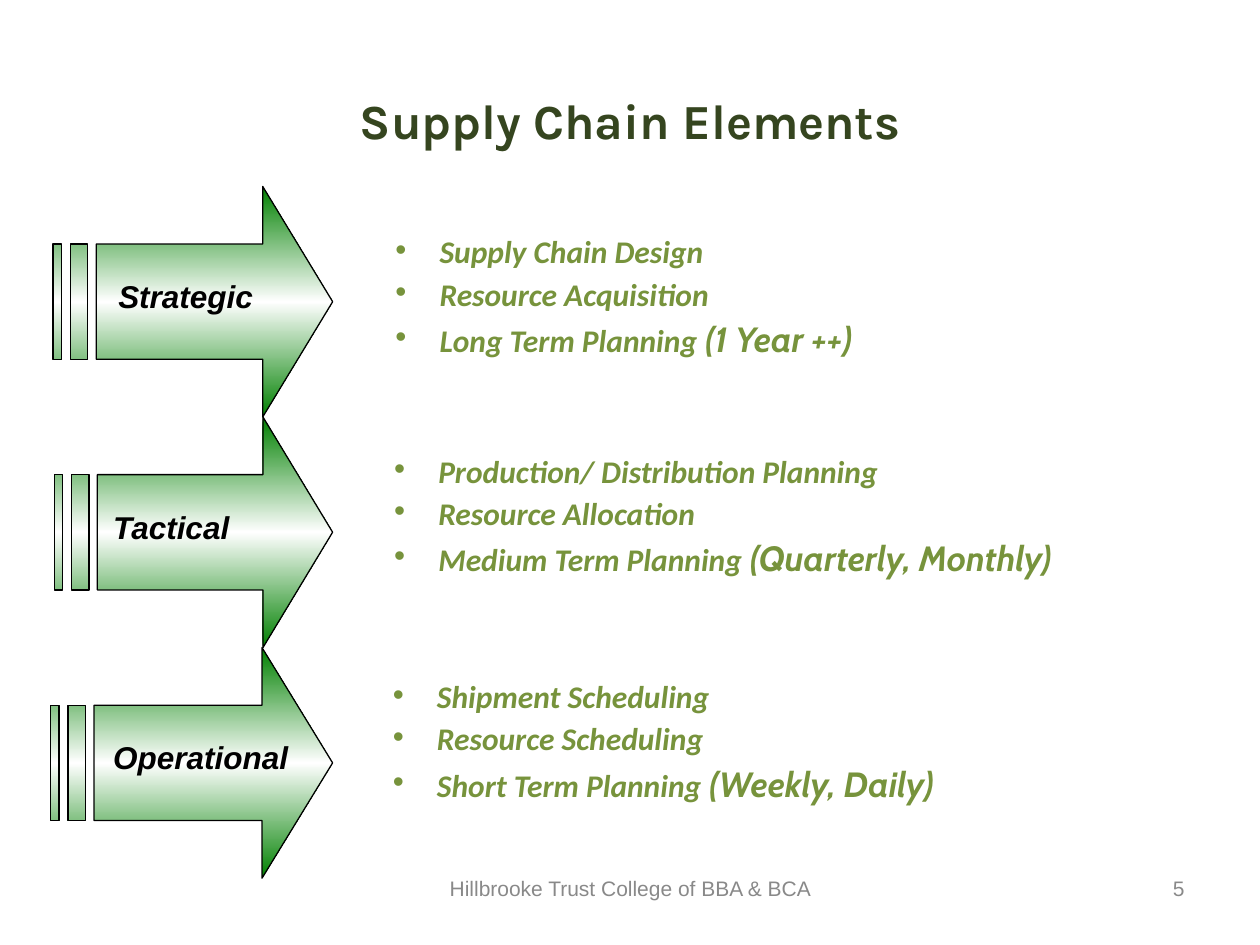
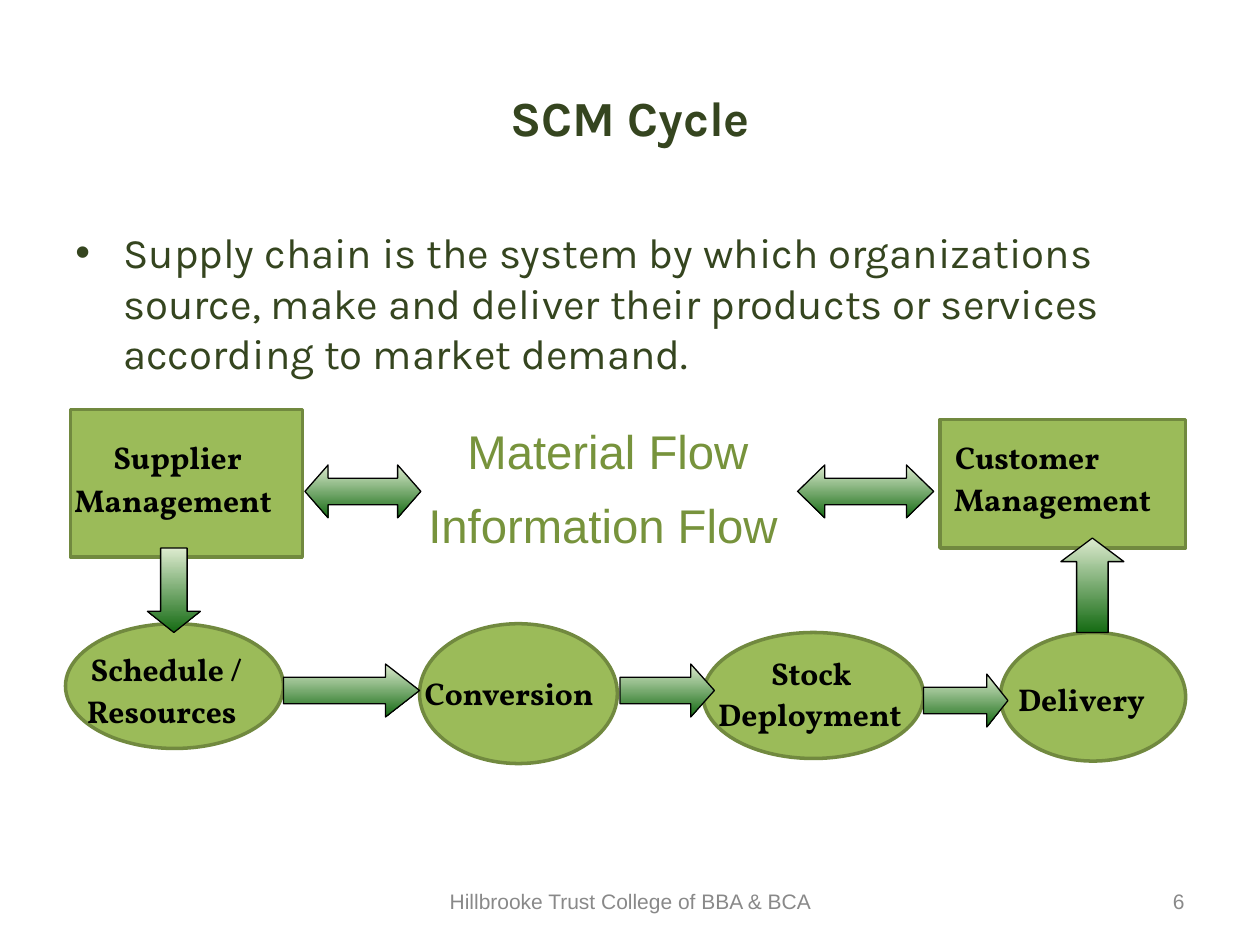
from dataclasses import dataclass

from lxml.etree import SubElement
from pptx import Presentation
from pptx.dml.color import RGBColor
from pptx.enum.shapes import MSO_SHAPE
from pptx.enum.text import MSO_ANCHOR, PP_ALIGN
from pptx.oxml.ns import qn
from pptx.util import Inches, Pt


@dataclass(frozen=True)
class Theme:
    dark: str = "35451F"
    accent: str = "77933C"
    node: str = "9BBB59"
    node_line: str = "71893F"
    muted: str = "898989"
    black: str = "000000"
    stage_fade: tuple = ("008000", "FFFFFF", "008000")
    arrow_fade: tuple = ("DDEBCF", "156B13")
    heading: str = "Karla"
    plain: str = "Arial"
    listing: str = "Calibri"
    period: str = "Cabin"
    label: str = "Vollkorn"
    title_size: float = 28
    flow_size: float = 27
    body_size: float = 24
    period_size: float = 20
    text_size: float = 18
    footer_size: float = 12


THEME = Theme()
SLIDE_W, SLIDE_H = 10, 7.5
MARGIN = 0.05 * SLIDE_W
FOOTER = "Hillbrooke Trust College of BBA & BCA"

# Stages: name, arrow left, label left, list box (left, top, width), tasks, period
STAGE_TOP, STAGE_PITCH = 1.48, 1.83
ARROW_RIGHT, ARROW_H = 2.64, 1.83
STAGES = [
    ("Strategic", 0.42, 0.84, (3.04, 1.9, 6.29),
     ["Supply Chain Design", "Resource Acquisition", "Long Term Planning"],
     "(1 Year ++)"),
    ("Tactical", 0.43, 0.8, (3.03, 3.64, 6.15),
     ["Production/ Distribution Planning", "Resource Allocation",
      "Medium Term Planning"], "(Quarterly, Monthly)"),
    ("Operational", 0.4, 0.8, (3.02, 5.43, 4.94),
     ["Shipment Scheduling", "Resource Scheduling", "Short Term Planning"],
     "(Weekly, Daily)"),
]

# Cycle: outline, box, label lines with their left, top and width
DEFINITION = ("Supply chain is the system by which organizations source, make and "
              "deliver their products or services according to market demand.")
NODES = [
    (MSO_SHAPE.RECTANGLE, (0.56, 3.25, 1.84, 1.17),
     [("Supplier", 0.9, 3.48, 1.09), ("Management", 0.59, 3.82, 1.64)]),
    (MSO_SHAPE.OVAL, (0.52, 4.95, 1.73, 0.99),
     [("Schedule /", 0.72, 5.16, 1.29), ("Resources", 0.69, 5.49, 1.29)]),
    (MSO_SHAPE.OVAL, (3.33, 4.95, 1.57, 1.11),
     [("Conversion", 3.37, 5.35, 1.44)]),
    (MSO_SHAPE.OVAL, (5.58, 5.02, 1.75, 1),
     [("Stock", 6.12, 5.19, 0.69), ("Deployment", 5.7, 5.52, 1.54)]),
    (MSO_SHAPE.OVAL, (7.94, 5.02, 1.47, 1.02),
     [("Delivery", 8.08, 5.4, 1.08)]),
    (MSO_SHAPE.RECTANGLE, (7.46, 3.33, 1.95, 1.02),
     [("Customer", 7.58, 3.48, 1.23), ("Management", 7.57, 3.81, 1.64)]),
]
FLOWS = [("Material Flow", 3.71, 3.35, 2.4), ("Information Flow", 3.4, 3.94, 2.9)]
# Arrows: outline, box, head length as a share of arrow length
ARROWS = [
    (MSO_SHAPE.LEFT_RIGHT_ARROW, (2.42, 3.69, 0.92, 0.42), 0.2),
    (MSO_SHAPE.LEFT_RIGHT_ARROW, (6.33, 3.69, 1.08, 0.42), 0.2),
    (MSO_SHAPE.UP_ARROW, (8.42, 4.27, 0.5, 0.75), 0.25),
    (MSO_SHAPE.RIGHT_ARROW, (2.25, 5.27, 1.08, 0.42), 0.25),
    (MSO_SHAPE.RIGHT_ARROW, (4.92, 5.27, 0.75, 0.42), 0.25),
    (MSO_SHAPE.RIGHT_ARROW, (7.33, 5.35, 0.67, 0.42), 0.25),
    (MSO_SHAPE.DOWN_ARROW, (1.17, 4.35, 0.42, 0.67), 0.25),
]


def inches(box):
    return [Inches(length) for length in box]


def style(run, font, size, color, bold=False, italic=False):
    run.font.name, run.font.size = font, Pt(size)
    run.font.color.rgb = RGBColor.from_string(color)
    run.font.bold, run.font.italic = bold, italic


def add_text(slide, lines, box, font, size, color, bold=False, italic=False,
             align=PP_ALIGN.LEFT, anchor=MSO_ANCHOR.TOP, wrap=True, inset=True):
    frame = slide.shapes.add_textbox(*inches(box)).text_frame
    frame.text = "\n".join(lines)
    frame.word_wrap, frame.vertical_anchor = wrap, anchor
    if not inset:
        frame.margin_left = frame.margin_right = 0
        frame.margin_top = frame.margin_bottom = 0
    for paragraph in frame.paragraphs:
        paragraph.alignment = align
        for run in paragraph.runs:
            style(run, font, size, color, bold, italic)
    return frame


def add_bullet(paragraph, color, indent):
    props = paragraph._p.get_or_add_pPr()
    props.set("marL", str(Inches(indent)))
    props.set("indent", str(-Inches(indent)))
    tint = SubElement(props, qn("a:buClr"))
    SubElement(tint, qn("a:srgbClr"), val=color)
    SubElement(props, qn("a:buFont"), typeface=THEME.plain)
    SubElement(props, qn("a:buChar"), char="•")


def outline(shape, color, width):
    shape.shadow.inherit = False
    shape.line.color.rgb = RGBColor.from_string(color)
    shape.line.width = Pt(width)


def fade(shape, colors):
    """Vertical gradient with evenly spaced stops."""
    shape.fill.gradient()
    shape.fill.gradient_angle = 270
    stops = shape._element.spPr.find(qn("a:gradFill")).find(qn("a:gsLst"))
    for stop in list(stops):
        stops.remove(stop)
    for i, color in enumerate(colors):
        position = str(100000 * i // (len(colors) - 1))
        stop = SubElement(stops, qn("a:gs"), pos=position)
        SubElement(stop, qn("a:srgbClr"), val=color)
    outline(shape, THEME.black, 0.75)


def add_frame(deck, title, title_top, footer_top):
    """New slide with title, footer and number."""
    slide = deck.slides.add_slide(deck.slide_layouts[6])
    add_text(slide, [title], (MARGIN, title_top, SLIDE_W - 2 * MARGIN, 1.25),
             THEME.heading, THEME.title_size, THEME.dark, bold=True,
             align=PP_ALIGN.CENTER, anchor=MSO_ANCHOR.MIDDLE)
    number = str(len(deck.slides) + 4)
    for words, left, width, align in [(FOOTER, 3.42, 3.17, PP_ALIGN.CENTER),
                                      (number, 7.17, 2.33, PP_ALIGN.RIGHT)]:
        add_text(slide, [words], (left, footer_top, width, 0.4), THEME.plain,
                 THEME.footer_size, THEME.muted, align=align,
                 anchor=MSO_ANCHOR.MIDDLE)
    return slide


def add_striped_arrow(slide, left, top):
    width = ARROW_RIGHT - left
    # Outlines as shares of the arrow's width and height
    head = [(0.75, 0), (0.75, 0.25), (0.155, 0.25), (0.155, 0.75),
            (0.75, 0.75), (0.75, 1), (1, 0.5)]
    stripes = [[(a, 0.25), (a, 0.75), (b, 0.75), (b, 0.25)]
               for a, b in [(1 / 16, 1 / 8), (0, 1 / 32)]]

    def place(points):
        return [(Inches(left + x * width), Inches(top + y * ARROW_H))
                for x, y in points]

    start, *rest = place(head)
    builder = slide.shapes.build_freeform(*start)
    builder.add_line_segments(rest, close=True)
    for stripe in stripes:
        start, *rest = place(stripe)
        builder.move_to(*start)
        builder.add_line_segments(rest, close=True)
    fade(builder.convert_to_shape(), THEME.stage_fade)


def build_elements(deck):
    slide = add_frame(deck, "Supply Chain Elements", 0.33, 6.85)
    for row, (name, left, label_left, box, tasks, period) in enumerate(STAGES):
        top = STAGE_TOP + row * STAGE_PITCH
        add_striped_arrow(slide, left, top)
        add_text(slide, [name], (label_left, top + 0.67, 1.59, 0.4), THEME.plain,
                 THEME.text_size, THEME.black, bold=True, italic=True)
        duties = add_text(slide, tasks, (*box, 0.99), THEME.listing,
                          THEME.text_size, THEME.accent, bold=True, italic=True)
        for duty in duties.paragraphs:
            duty.line_spacing, duty.space_before = 0.6, Pt(11.2)
            add_bullet(duty, THEME.accent, 0.35)
        duty.space_before = Pt(12.5)
        span = duty.add_run()
        span.text = " " + period
        style(span, THEME.period, THEME.period_size, THEME.accent, True, True)


def build_cycle(deck):
    slide = add_frame(deck, "SCM Cycle", 0.3, 6.95)
    definition = add_text(slide, [DEFINITION], (MARGIN, 1.75, 9, 1.33),
                          THEME.heading, THEME.body_size, THEME.dark).paragraphs[0]
    definition.space_before = Pt(6)
    add_bullet(definition, THEME.dark, 0.38)
    # Nodes and their labels
    for kind, box, labels in NODES:
        node = slide.shapes.add_shape(kind, *inches(box))
        node.fill.solid()
        node.fill.fore_color.rgb = RGBColor.from_string(THEME.node)
        outline(node, THEME.node_line, 2)
        for words, left, top, width in labels:
            add_text(slide, [words], (left, top, width, 0.3), THEME.label,
                     THEME.text_size, THEME.black, bold=True, wrap=False, inset=False)
    for words, left, top, width in FLOWS:
        add_text(slide, [words], (left, top, width, 0.45), THEME.plain,
                 THEME.flow_size, THEME.accent, wrap=False, inset=False)
    # Arrows between the nodes
    for kind, box, head_share in ARROWS:
        arrow = slide.shapes.add_shape(kind, *inches(box))
        length, thickness = max(box[2:]), min(box[2:])
        arrow.adjustments[0] = 0.5
        arrow.adjustments[1] = head_share * length / thickness
        fade(arrow, THEME.arrow_fade)


def main():
    deck = Presentation()
    deck.slide_width, deck.slide_height = Inches(SLIDE_W), Inches(SLIDE_H)
    build_elements(deck)
    build_cycle(deck)
    deck.save("out.pptx")


if __name__ == "__main__":
    main()
